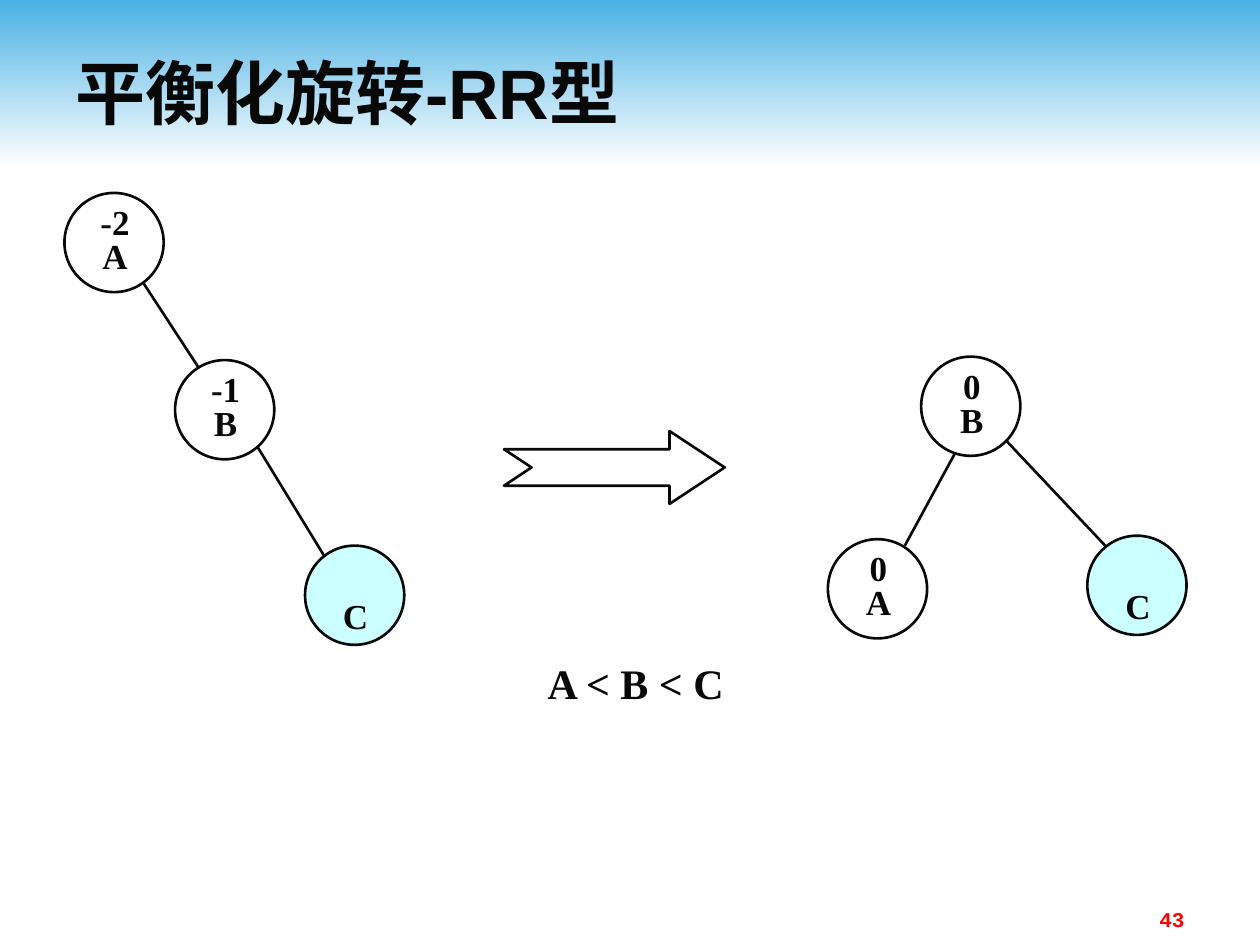
import pptx
import pptx.util
import pptx.dml.color
import pptx.enum.shapes
import pptx.enum.text
from lxml import etree

Cm, Pt = pptx.util.Cm, pptx.util.Pt
ALIGN = pptx.enum.text.PP_ALIGN
SHAPE = pptx.enum.shapes.MSO_SHAPE

COLORS = {"ink": "080808", "new_node": "CCFFFF", "band": "4AB1E4",
          "white": "FFFFFF", "number": "FF0000"}
SERIF = "Times New Roman"
NODE = 2.0  # node diameter, cm


def rgb(name):
    return pptx.dml.color.RGBColor.from_string(COLORS[name])


def format_paragraph(p, size, font, align, color="ink"):
    p.alignment = align
    p.font.size = Pt(size)
    p.font.name = font
    p.font.bold = True
    p.font.color.rgb = rgb(color)


def outline(sp, fill=None):
    sp.shadow.inherit = False
    if fill:
        sp.fill.solid()
        sp.fill.fore_color.rgb = rgb(fill)
    else:
        sp.fill.background()
    sp.line.color.rgb = rgb("ink")
    sp.line.width = Pt(1.5)


def add_text(shapes, box, lines, size, font, align, color="ink", margin=True):
    sp = shapes.add_textbox(*map(Cm, box))
    tf = sp.text_frame
    tf.word_wrap = True
    if not margin:
        tf.margin_left = tf.margin_right = tf.margin_top = tf.margin_bottom = 0
    tf.text = "\n".join(lines)
    for p in tf.paragraphs:
        format_paragraph(p, size, font, align, color)
    return tf


def add_header(s, left, top, width, height):
    # Gradient band
    band = s.shapes.add_shape(SHAPE.RECTANGLE, *map(Cm, (left, top, width, height)))
    band.shadow.inherit = False
    band.line.fill.background()
    band.fill.gradient()
    band.fill.gradient_angle = 270
    for stop, name, position in zip(band.fill.gradient_stops, ("band", "white"), (0, 1)):
        stop.color.rgb = rgb(name)
        stop.position = position
    # Title, brought in front of the band
    title = s.shapes.title
    s.shapes._spTree.append(title._element)
    title.left, title.top = Cm(left + 1.27), Cm(top + 0.64)
    title.width, title.height = Cm(width - 2.54), Cm(2.41)
    tf = title.text_frame
    tf.text = "平衡化旋转-RR型"
    tf.vertical_anchor = pptx.enum.text.MSO_ANCHOR.MIDDLE
    format_paragraph(tf.paragraphs[0], 40, "Arial", ALIGN.LEFT)


def add_node(shapes, left, top, balance, key):
    """A tree node; one without a balance factor is the inserted node."""
    group = shapes.add_group_shape().shapes
    circle = group.add_shape(SHAPE.OVAL, Cm(left), Cm(top), Cm(NODE), Cm(NODE))
    outline(circle, None if balance else "new_node")
    lines, drop, height = ([balance, key], 0.32, 1.35) if balance else ([key], 1.14, 0.7)
    tf = add_text(group, (left + 0.6, top + drop, 0.84, height), lines,
                  20, SERIF, ALIGN.CENTER, margin=False)
    for p in tf.paragraphs:
        p.line_spacing = 0.8


def add_tree(s, left, top, nodes, edges):
    for x, y, balance, key in nodes:
        add_node(s.shapes, left + x, top + y, balance, key)
    for x1, y1, x2, y2 in edges:
        line = s.shapes.add_connector(
            pptx.enum.shapes.MSO_CONNECTOR.STRAIGHT,
            Cm(left + x1), Cm(top + y1), Cm(left + x2), Cm(top + y2))
        line.line.color.rgb = rgb("ink")
        line.line.width = Pt(1.5)
        etree.SubElement(line._element.spPr, pptx.oxml.ns.qn("a:effectLst"))


def add_arrow(s, left, top, width, height):
    points = [(Cm(left + width * x), Cm(top + height * y)) for x, y in (
        (0, 0.25), (0.75, 0.25), (0.75, 0), (1, 0.5),
        (0.75, 1), (0.75, 0.75), (0, 0.75), (0.125, 0.5))]
    builder = s.shapes.build_freeform(*points[0])
    builder.add_line_segments(points[1:], close=True)
    outline(builder.convert_to_shape())


def main():
    prs = pptx.Presentation()
    prs.slide_width, prs.slide_height = Cm(25.4), Cm(19.05)
    s = prs.slides.add_slide(prs.slide_layouts[5])

    add_header(s, 0, 0, 25.4, 3.38)
    # Before and after the rotation
    add_tree(s, 1.3, 3.89,
             [(0, 0, "-2", "A"), (2.23, 3.37, "-1", "B"), (4.85, 7.11, None, "C")],
             [(1.6, 1.83, 2.71, 3.53), (3.88, 5.1, 5.25, 7.34)])
    add_arrow(s, 10.16, 8.69, 4.45, 1.47)
    add_tree(s, 16.69, 7.19,
             [(1.88, 0, "0", "B"), (0, 3.68, "0", "A"), (5.23, 3.61, None, "C")],
             [(3.6, 1.7, 5.59, 3.81), (2.56, 1.95, 1.55, 3.81)])
    # Key order and page number
    add_text(s.shapes, (8.69, 13.13, 8.25, 1.27), ["A < B < C"], 24, SERIF, ALIGN.CENTER)
    add_text(s.shapes, (18.21, 18.16, 5.92, 0.69), ["43"], 12, "Courier New",
             ALIGN.RIGHT, "number")
    prs.save("out.pptx")


if __name__ == "__main__":
    main()
